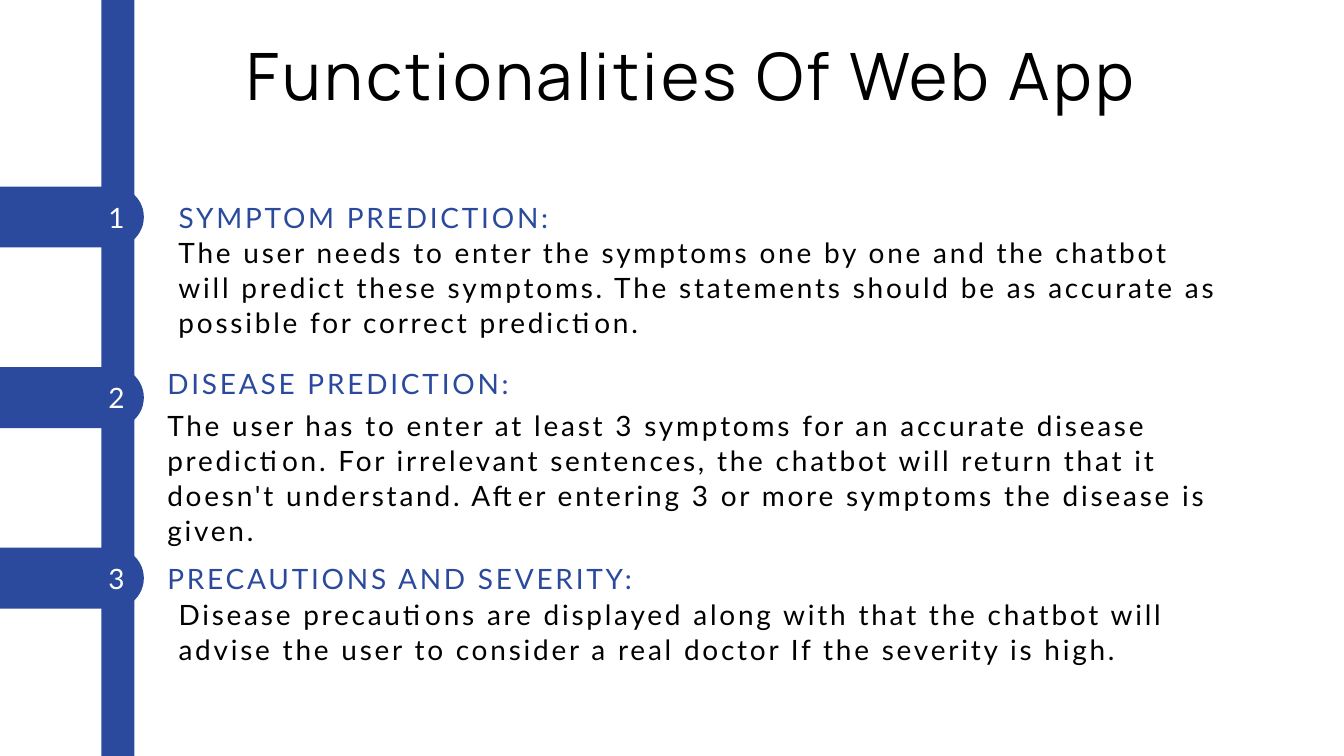
from dataclasses import dataclass

from pptx import Presentation
from pptx.dml.color import RGBColor
from pptx.enum.shapes import MSO_SHAPE
from pptx.enum.text import MSO_AUTO_SIZE, PP_ALIGN
from pptx.oxml.ns import qn
from pptx.util import Emu, Pt

EMU_PER_PX = 9525
PAGE_WIDTH, PAGE_HEIGHT = 1920, 1080


def px(length):
    return Emu(length * EMU_PER_PX)


@dataclass(frozen=True)
class TextStyle:
    font: str
    size: float
    leading: float
    tracking: float
    color: RGBColor
    align: PP_ALIGN = PP_ALIGN.LEFT


@dataclass(frozen=True)
class Theme:
    blue = RGBColor.from_string("2B4A9D")
    black = RGBColor.from_string("000000")
    white = RGBColor.from_string("FFFFFF")
    title = TextStyle("Manrope", 70, 73.5, 3.5, black, PP_ALIGN.CENTER)
    heading = TextStyle("Lato", 30, 42, 3, blue)
    number = TextStyle("Lato", 30, 42, 3, white, PP_ALIGN.CENTER)
    body = TextStyle("Lato", 30, 37.5, 3, black)


class SlideBuilder:
    def __init__(self, page, theme):
        self.page = page
        self.theme = theme

    def shape(self, kind, left, top, width, height):
        shape = self.page.shapes.add_shape(kind, px(left), px(top), px(width), px(height))
        shape.shadow.inherit = False
        shape.fill.solid()
        shape.fill.fore_color.rgb = self.theme.blue
        shape.line.fill.background()
        return shape

    def bar(self, left, top, width, height):
        return self.shape(MSO_SHAPE.RECTANGLE, left, top, width, height)

    def tab(self, left, top, length, thickness):
        """Draw a horizontal tab, rounded at its right end."""
        inset = (length - thickness) // 2
        tab = self.shape(MSO_SHAPE.ROUND_2_SAME_RECTANGLE,
                         left + inset, top - inset, thickness, length)
        tab.rotation = 90
        tab.adjustments[0] = 0.5

    def text(self, words, style, left, top, width, height):
        box = self.page.shapes.add_textbox(px(left), px(top), px(width), px(height))
        frame = box.text_frame
        frame.word_wrap = True
        frame.auto_size = MSO_AUTO_SIZE.SHAPE_TO_FIT_TEXT
        frame.margin_left = frame.margin_right = 0
        frame.margin_top = frame.margin_bottom = 0
        para = frame.paragraphs[0]
        para.text = words
        para.alignment = style.align
        para.line_spacing = Pt(style.leading)
        para.font.name = style.font
        para.font.size = Pt(style.size)
        para.font.color.rgb = style.color
        defaults = para._p.pPr.find(qn("a:defRPr"))
        defaults.set("spc", str(int(style.tracking * 100)))


# heading, heading left, body, body box (left, top, width, height)
SECTIONS = [
    ("SYMPTOM PREDICTION:", 255,
     "The user needs to enter the symptoms one by one and the chatbot will predict "
     "these symptoms. The statements should be as accurate as possible for correct "
     "prediction.", (255, 335, 1488, 150)),
    ("DISEASE PREDICTION:", 239,
     "The user has to enter at least 3 symptoms for an accurate disease prediction. "
     "For irrelevant sentences, the chatbot will return that it doesn't understand. "
     "After entering 3 or more symptoms the disease is given.", (239, 581, 1528, 200)),
    ("PRECAUTIONS AND SEVERITY:", 239,
     "Disease precautions are displayed along with that the chatbot will advise the "
     "user to consider a real doctor If the severity is high.", (255, 852, 1512, 100)),
]
SECTION_STEP = 258
FIRST_TAB_TOP = 266
FIRST_NUMBER_TOP = 278
HEADING_TOPS = (278, 516, 794)


def main():
    deck = Presentation()
    deck.slide_width, deck.slide_height = px(PAGE_WIDTH), px(PAGE_HEIGHT)
    theme = Theme()
    builder = SlideBuilder(deck.slides.add_slide(deck.slide_layouts[6]), theme)

    builder.bar(145, 0, 47, PAGE_HEIGHT)
    for index, (heading, heading_left, body, body_box) in enumerate(SECTIONS):
        offset = index * SECTION_STEP
        builder.tab(0, FIRST_TAB_TOP + offset, 206, 87)
        builder.text(str(index + 1), theme.number, 141, FIRST_NUMBER_TOP + offset, 51, 55)
        builder.text(heading, theme.heading, heading_left, HEADING_TOPS[index], 937, 55)
        builder.text(body, theme.body, *body_box)
    builder.text("Functionalities Of Web App ", theme.title, 255, 64, 1488, 107)

    deck.save("out.pptx")


if __name__ == "__main__":
    main()
